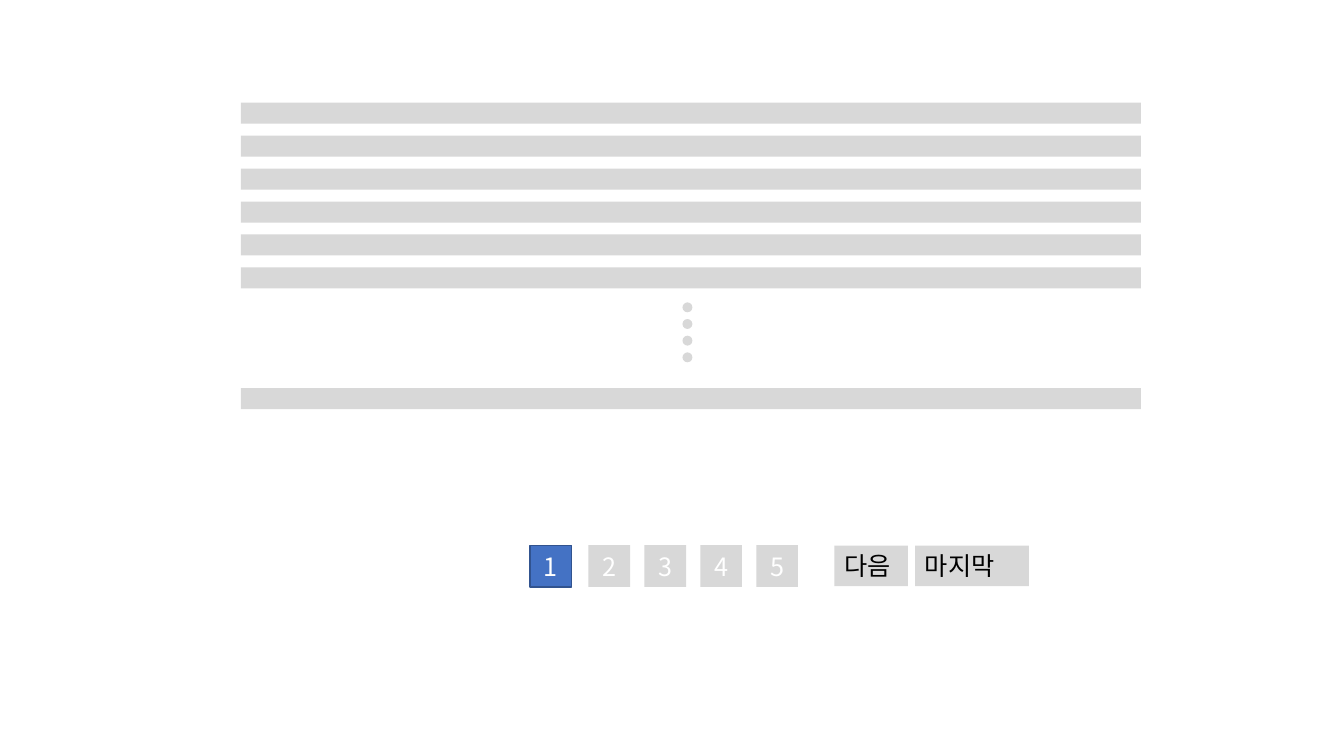
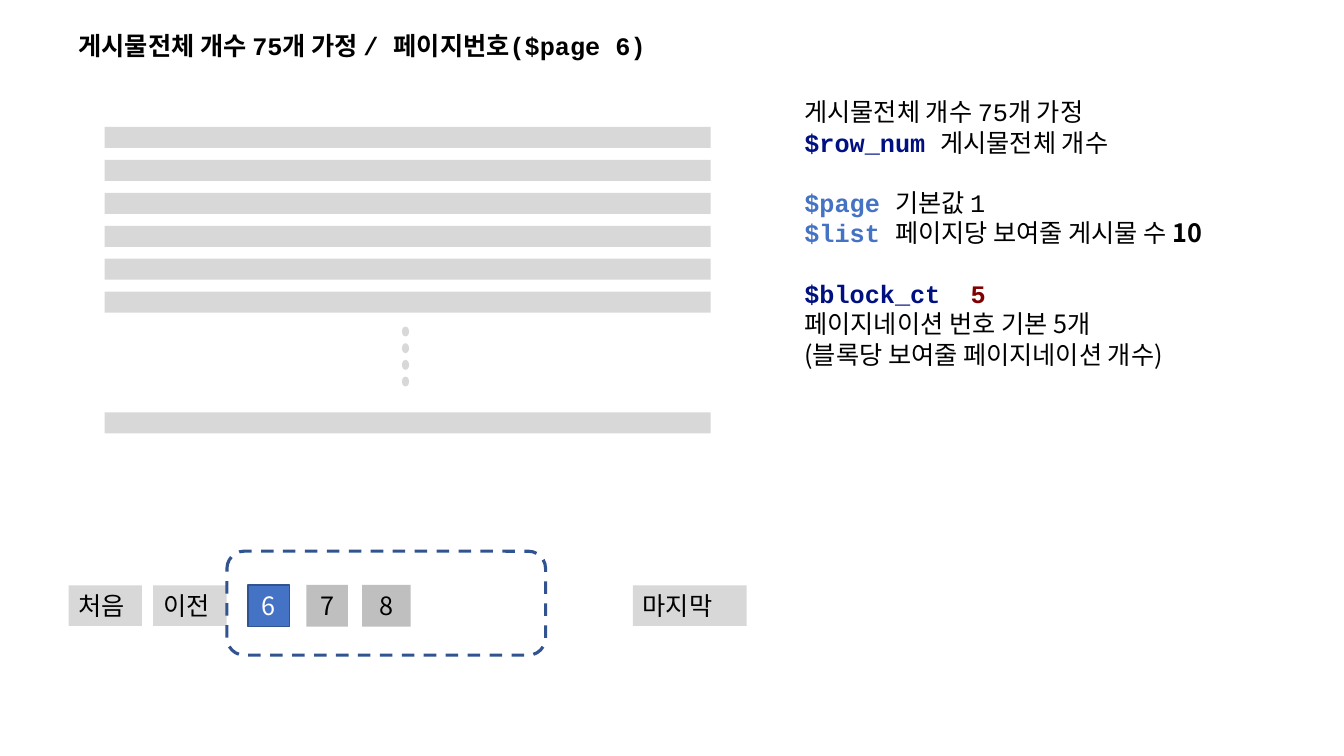
"""Build two slides that explain how a board's pagination is laid out."""
from dataclasses import dataclass

from lxml import etree
from pptx import Presentation
from pptx.dml.color import RGBColor
from pptx.enum.dml import MSO_LINE
from pptx.enum.shapes import MSO_SHAPE
from pptx.enum.text import MSO_ANCHOR, MSO_AUTO_SIZE, PP_ALIGN
from pptx.oxml.ns import qn
from pptx.shapes.autoshape import Shape
from pptx.slide import Slide
from pptx.util import Cm, Pt

RECT, OVAL, ROUNDED = MSO_SHAPE.RECTANGLE, MSO_SHAPE.OVAL, MSO_SHAPE.ROUNDED_RECTANGLE
MIDDLE, TOP = MSO_ANCHOR.MIDDLE, MSO_ANCHOR.TOP
CENTER, LEFT = PP_ALIGN.CENTER, PP_ALIGN.LEFT
FIT_SHAPE, DASH = MSO_AUTO_SIZE.SHAPE_TO_FIT_TEXT, MSO_LINE.DASH

BLACK = RGBColor(0x00, 0x00, 0x00)
WHITE = RGBColor(0xFF, 0xFF, 0xFF)
LIGHT_GRAY = RGBColor(0xD8, 0xD8, 0xD8)
MID_GRAY = RGBColor(0xBF, 0xBF, 0xBF)
BLUE = RGBColor(0x44, 0x72, 0xC4)
DARK_BLUE = RGBColor(0x31, 0x53, 0x8F)
NAVY = RGBColor(0x00, 0x10, 0x80)
MAROON = RGBColor(0x80, 0x00, 0x00)

SANS, MONO = "Noto Sans CJK KR", "Courier New"
TEXT_SIZE = Pt(18)
BLOCK_GAP = Pt(21.7)

POST_HEIGHT, POST_STEP, POST_COUNT = 0.53, 0.83, 6
LAST_POST_OFFSET = 7.19
DOT_OFFSET, DOT_STEP, DOT_HEIGHT, DOT_COUNT = 5.03, 0.42, 0.25, 4
CELL_SIZE, FIRST_CELL_STEP, CELL_STEP = 1.05, 1.47, 1.41
BUTTON_HEIGHT = 1.02


@dataclass(frozen=True)
class Box:
    """Position and size in centimetres."""
    left: float
    top: float
    width: float
    height: float

    def lengths(self) -> tuple[Cm, Cm, Cm, Cm]:
        """Return the four values as lengths."""
        return Cm(self.left), Cm(self.top), Cm(self.width), Cm(self.height)


@dataclass(frozen=True)
class Words:
    """A run of text with one look."""
    text: str
    color: RGBColor = BLACK
    font: str = SANS
    bold: bool = False


@dataclass(frozen=True)
class Line:
    """A paragraph; starts_block leaves one line free above it."""
    words: tuple[Words, ...]
    starts_block: bool = False


@dataclass(frozen=True)
class PageCell:
    """A page number in the pagination bar."""
    number: str
    fill: RGBColor = LIGHT_GRAY
    color: RGBColor = WHITE
    width: float = CELL_SIZE
    outline: RGBColor | None = None


@dataclass(frozen=True)
class Button:
    """A jump button of the pagination bar."""
    label: str
    left: float
    width: float = 1.85


VARIABLE_NOTES = (
    Line((Words("게시물전체 개수 75개 가정", font=MONO),)),
    Line((Words("$row_num ", NAVY, MONO, True), Words("게시물전체 개수", font=MONO))),
    Line((Words("$page ", BLUE, MONO, True), Words("기본값 1", font=MONO)), True),
    Line((Words("$list ", BLUE, MONO, True), Words("페이지당 보여줄 게시물 수 "),
          Words("10", bold=True))),
    Line((Words("$block_ct ", NAVY, MONO, True), Words(" 5", MAROON, MONO, True)), True),
    Line((Words("페이지네이션 번호 기본 5개"),)),
    Line((Words("(블록당 보여줄 페이지네이션 개수)"),)),
)
ASSUMPTION = Line((Words("게시물전체 개수 75개 가정 / 페이지번호($page 6)", font=MONO, bold=True),))


def current_page(number: str) -> PageCell:
    """Return the highlighted cell of the open page."""
    return PageCell(number, BLUE, outline=DARK_BLUE)


def write(host: Shape, lines: tuple[Line, ...], align: PP_ALIGN, anchor: MSO_ANCHOR) -> None:
    """Fill a shape with lines of text, run by run."""
    frame = host.text_frame
    frame.word_wrap = True
    frame.vertical_anchor = anchor
    for index, line in enumerate(lines):
        paragraph = frame.add_paragraph() if index else frame.paragraphs[0]
        paragraph.alignment = align
        if line.starts_block:
            paragraph.space_before = BLOCK_GAP
        for words in line.words:
            run = paragraph.add_run()
            run.text = words.text
            run.font.size = TEXT_SIZE
            run.font.name = words.font
            run.font.bold = words.bold
            run.font.color.rgb = words.color
            east_asian = etree.SubElement(run.font._element, qn("a:ea"))
            east_asian.set("typeface", SANS)


def add_block(slide: Slide, preset: MSO_SHAPE, box: Box, fill: RGBColor | None,
              outline: RGBColor | None = None, weight: float = 1) -> Shape:
    """Draw a flat preset shape."""
    block = slide.shapes.add_shape(preset, *box.lengths())
    block.shadow.inherit = False
    if fill is None:
        block.fill.background()
    else:
        block.fill.solid()
        block.fill.fore_color.rgb = fill
    if outline is None:
        block.line.fill.background()
    else:
        block.line.color.rgb = outline
        block.line.width = Pt(weight)
    return block


def add_note(slide: Slide, box: Box, lines: tuple[Line, ...]) -> None:
    """Write free-standing text."""
    note = slide.shapes.add_textbox(*box.lengths())
    write(note, lines, LEFT, TOP)
    note.text_frame.auto_size = FIT_SHAPE


def add_post_list(slide: Slide, left: float, top: float, width: float,
                  dot_left: float, dot_width: float) -> None:
    """Draw the posts of a page, with dots for those left out."""
    for index in range(DOT_COUNT):
        dot_top = top + DOT_OFFSET + index * DOT_STEP
        add_block(slide, OVAL, Box(dot_left, dot_top, dot_width, DOT_HEIGHT), LIGHT_GRAY)
    offsets = [index * POST_STEP for index in range(POST_COUNT)] + [LAST_POST_OFFSET]
    for offset in offsets:
        add_block(slide, RECT, Box(left, top + offset, width, POST_HEIGHT), LIGHT_GRAY)


def add_pagination(slide: Slide, left: float, top: float, cells: tuple[PageCell, ...],
                   buttons: tuple[Button, ...]) -> None:
    """Draw the page numbers and the jump buttons."""
    for index, cell in enumerate(cells):
        offset = FIRST_CELL_STEP + (index - 1) * CELL_STEP if index else 0
        box = Box(left + offset, top, cell.width, CELL_SIZE)
        page = add_block(slide, RECT, box, cell.fill, cell.outline)
        write(page, (Line((Words(cell.number, cell.color),)),), CENTER, MIDDLE)
    for button in buttons:
        box = Box(button.left, top + 0.01, button.width, BUTTON_HEIGHT)
        jump = add_block(slide, RECT, box, LIGHT_GRAY)
        write(jump, (Line((Words(button.label),)),), LEFT, TOP)


def build_first_page(slide: Slide) -> None:
    """Show the first page of the board."""
    cells = (current_page("1"), *(PageCell(number) for number in "2345"))
    buttons = (Button("다음", 21.03), Button("마지막", 23.06, 2.87))
    add_pagination(slide, 13.36, 13.74, cells, buttons)
    add_post_list(slide, 6.07, 2.59, 22.68, 17.2, 0.25)


def build_sixth_page(slide: Slide) -> None:
    """Show page six, its block of numbers and the variables."""
    add_post_list(slide, 2.64, 3.2, 15.27, 10.13, 0.18)
    add_note(slide, Box(20.02, 2.31, 11.73, 7.19), VARIABLE_NOTES)
    cells = (current_page("6"), PageCell("7", MID_GRAY, BLACK),
             PageCell("8", MID_GRAY, BLACK, 1.22))
    buttons = (Button("처음", 1.73), Button("이전", 3.86), Button("마지막", 15.95, 2.87))
    add_pagination(slide, 6.25, 14.74, cells, buttons)
    number_block = add_block(slide, ROUNDED, Box(5.72, 13.89, 8.03, 2.62), None, DARK_BLUE, 2.25)
    number_block.line.dash_style = DASH
    add_note(slide, Box(1.73, 0.64, 18.01, 1.02), (ASSUMPTION,))


def main() -> None:
    """Build and save the presentation."""
    deck = Presentation()
    deck.slide_width, deck.slide_height = Cm(33.87), Cm(19.05)
    blank = deck.slide_layouts[6]
    for build in (build_first_page, build_sixth_page):
        build(deck.slides.add_slide(blank))
    deck.save("out.pptx")


if __name__ == "__main__":
    main()
